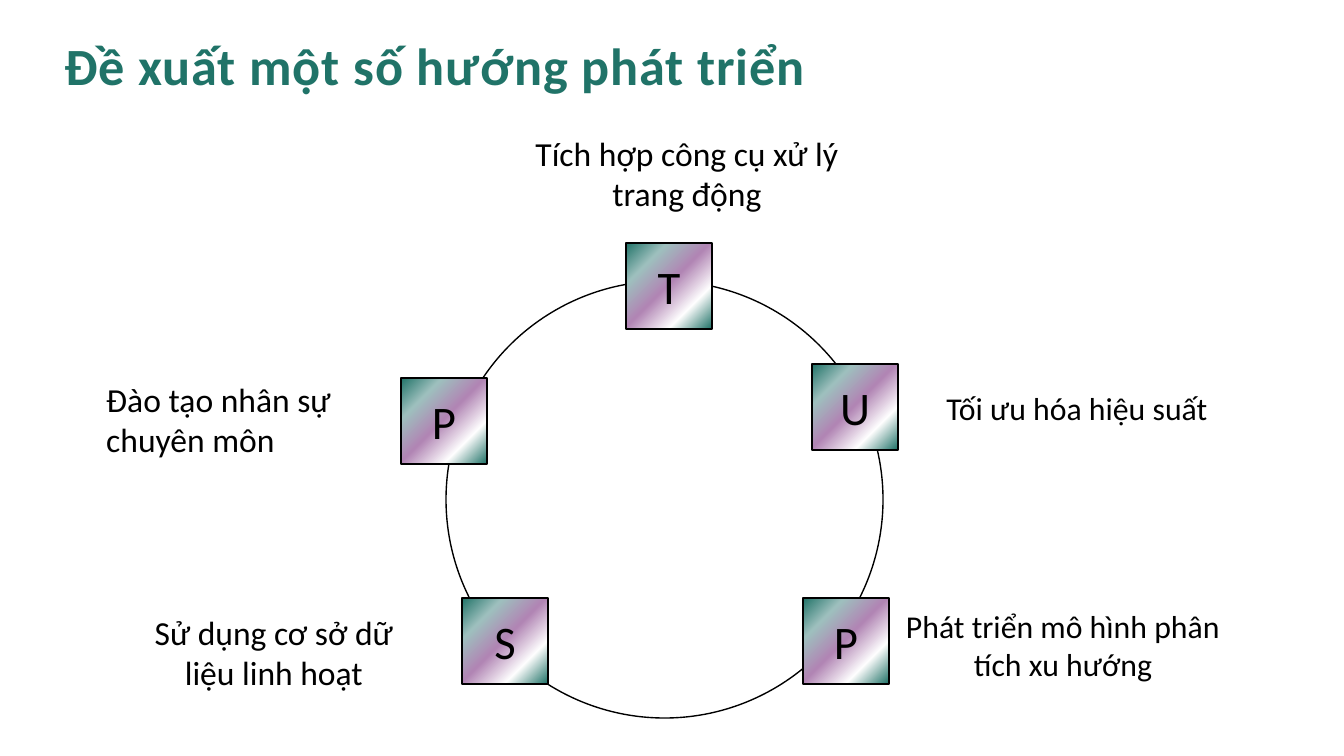
from copy import deepcopy

from pptx import Presentation
from pptx import util as u
from pptx.dml.color import RGBColor
from pptx.enum import shapes, text
from pptx.oxml.ns import qn

TITLE = "Đề xuất một số hướng phát triển"
TITLE_BOX = (51, 20, 1133, 85)
RING = (446, 281, 437, 437)
NODE = 86
LEFT, CENTER = text.PP_ALIGN.LEFT, text.PP_ALIGN.CENTER
STEPS = [
    ("P", (401, 378), "Đào tạo nhân sự chuyên môn", (93, 407, 316, 66), 18, LEFT),
    ("S", (462, 598), "Sử dụng cơ sở dữ liệu linh hoạt", (116, 640, 316, 66), 18, CENTER),
    ("T", (626, 243), "Tích hợp công cụ xử lý trang động", (491, 161, 392, 66), 18, CENTER),
    ("U", (812, 364), "Tối ưu hóa hiệu suất", (898, 374, 358, 66), 17, CENTER),
    ("P", (803, 598), "Phát triển mô hình phân tích xu hướng", (879, 613, 368, 83), 17, CENTER),
]
STOPS = [(0, "207368"), (24, "9EC0BE"), (49, "B185B4"), (75, "FFFFFF"), (100, "207368")]
GREEN, BLACK, WHITE = "207368", "000000", "FFFFFF"


def emu(*px):
    return [round(v * 914400 / 134.4) for v in px]


def color(value):
    return RGBColor.from_string(value)


def write(sp, words, size, tint, align, anchor, inset):
    tf = sp.text_frame
    tf.word_wrap = True
    tf.vertical_anchor = anchor
    tf.margin_left = tf.margin_right = u.Inches(0.1)
    tf.margin_top = tf.margin_bottom = u.Inches(inset)
    p = tf.paragraphs[0]
    p.alignment = align
    p.font.name = "Calibri"
    p.font.size = u.Pt(size)
    p.font.color.rgb = color(tint)
    r = p.add_run()
    r.text = words
    return p, r


def add_outlined(parent, kind, box):
    sp = parent.add_shape(kind, *emu(*box))
    sp.shadow.inherit = False
    sp.line.color.rgb = color(BLACK)
    sp.line.width = u.Pt(0.75)
    return sp


def fill_gradient(sp):
    sp.fill.gradient()
    sp.fill.gradient_angle = 315
    first = sp.fill.gradient_stops[0]
    stop_list = next(sp.element.iter(qn("a:gsLst")))
    for _ in range(len(STOPS) - len(stop_list)):
        stop_list.append(deepcopy(stop_list[0]))
    for stop, (percent, tint) in zip(sp.fill.gradient_stops, STOPS):
        stop.position = percent / 100
        stop.color.rgb = color(tint)


prs = Presentation()
prs.slide_width, prs.slide_height = emu(1344, 756)
s = prs.slides.add_slide(prs.slide_layouts[6])

title = s.shapes.add_textbox(*emu(*TITLE_BOX))
p, r = write(title, TITLE, 28, GREEN, LEFT, text.MSO_ANCHOR.TOP, 0.1)
p.font.bold = True
r.font._element.set("spc", "50")

ring = add_outlined(s.shapes, shapes.MSO_SHAPE.OVAL, RING)
ring.fill.solid()
ring.fill.fore_color.rgb = color(WHITE)

for letter, corner, words, box, size, align in STEPS:
    group = s.shapes.add_group_shape().shapes
    node = add_outlined(group, shapes.MSO_SHAPE.RECTANGLE, (*corner, NODE, NODE))
    fill_gradient(node)
    write(node, letter, 25, BLACK, CENTER, text.MSO_ANCHOR.MIDDLE, 0.05)
    label = group.add_textbox(*emu(*box))
    write(label, words, size, BLACK, align, text.MSO_ANCHOR.BOTTOM, 0.1)

prs.save("out.pptx")
